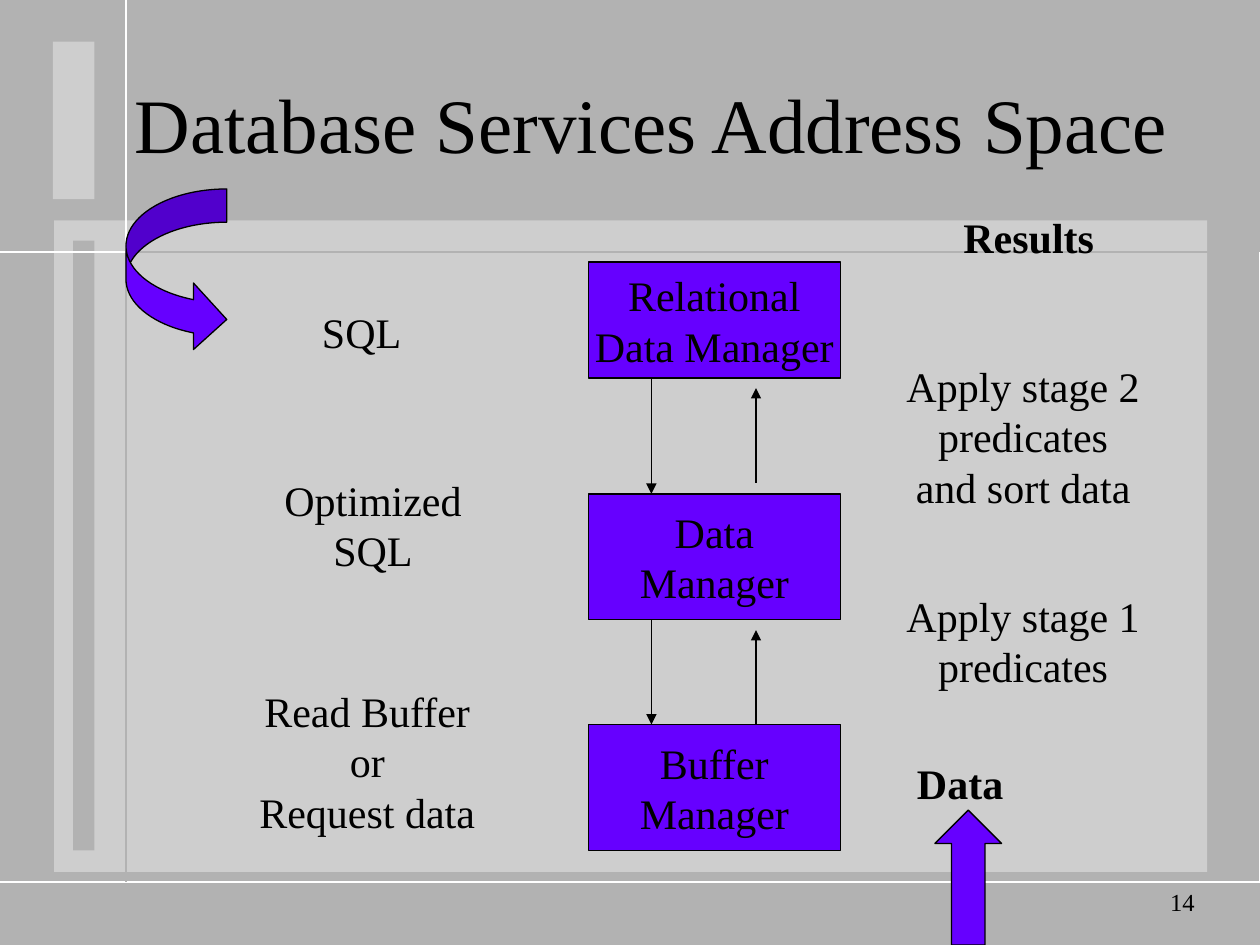
from lxml.etree import SubElement
from pptx import Presentation
from pptx.dml.color import RGBColor
from pptx.enum.shapes import MSO_CONNECTOR, MSO_SHAPE
from pptx.enum.text import MSO_ANCHOR, PP_ALIGN
from pptx.oxml.ns import qn
from pptx.util import Inches, Pt

BLACK = RGBColor(0x00, 0x00, 0x00)
WHITE = RGBColor(0xFF, 0xFF, 0xFF)
GRAY = RGBColor(0xB2, 0xB2, 0xB2)
LIGHT = RGBColor(0xEA, 0xEA, 0xEA)
VIOLET = RGBColor(0x66, 0x00, 0xFF)
FONT = "Times New Roman"

# Content: boxes are (left, top, width, height) in inches
TITLE = "Database Services Address Space"
SLIDE_NUMBER = "14"
PANELS = [  # box, fill, opacity in percent, upper left edge, lower right edge
    ((0.43, 1.75, 9.15, 5.17), LIGHT, 50, GRAY, WHITE),
    ((0.58, 1.91, 0.17, 4.84), GRAY, 100, WHITE, GRAY),
    ((0.42, 0.33, 0.33, 1.25), LIGHT, 50, GRAY, WHITE),
]
MANAGER_LEFT, MANAGER_WIDTH = 4.67, 2
MANAGERS = [  # lines, top, height
    (["Relational", "Data Manager"], 2.08, 0.92),
    (["Data", "Manager"], 3.92, 1),
    (["Buffer", "Manager"], 5.75, 1),
]
DOWN_X, UP_X = 5.17, 6
UP_ARROWS = [(5.75, 5), (3.83, 3.08)]  # start and end height
LABELS = [  # lines, box, bold
    (["SQL"], (2.08, 2.17, 1.58, 0.92), False),
    (["Optimized", "SQL"], (1.92, 3.5, 2.08, 1.33), False),
    (["Read Buffer", "or", "Request data"], (1.83, 5.5, 2.17, 1.08), False),
    (["Results"], (7.25, 1.5, 1.83, 0.75), True),
    (["Apply stage 2", "predicates", "and sort data"], (7.08, 2.92, 2.08, 1.08), False),
    (["Apply stage 1", "predicates"], (7.08, 4.5, 2.08, 1.17), False),
    (["Data"], (6.83, 5.92, 1.58, 0.58), True),
]
BLOCK_ARROWS = [  # preset, box, adjustments
    (MSO_SHAPE.CURVED_RIGHT_ARROW, (1, 1.5, 0.8, 1.3), (0.33, 0.66, 0.33)),
    (MSO_SHAPE.UP_ARROW, (7.42, 6.43, 0.53, 1.07), (0.5, 0.5)),
]


def to_inches(box):
    return [Inches(value) for value in box]


def write_text(shape, lines, size=24, bold=False, align=PP_ALIGN.CENTER, wrap=False):
    frame = shape.text_frame
    frame.word_wrap = wrap
    frame.vertical_anchor = MSO_ANCHOR.MIDDLE
    frame.text = "\n".join(lines)
    for paragraph in frame.paragraphs:
        paragraph.alignment = align
        font = paragraph.font
        font.name, font.size, font.bold = FONT, Pt(size), bold
        font.color.rgb = BLACK


def add_box(shapes, box, preset=MSO_SHAPE.RECTANGLE, fill=VIOLET, outlined=True):
    shape = shapes.add_shape(preset, *to_inches(box))
    shape.shadow.inherit = False
    shape.fill.solid()
    shape.fill.fore_color.rgb = fill
    if outlined:
        shape.line.color.rgb = BLACK
        shape.line.width = Pt(0.75)
    else:
        shape.line.fill.background()
    return shape


def add_edge(shapes, points, color):
    builder = shapes.build_freeform(*points[0], scale=Inches(1))
    builder.add_line_segments(points[1:], close=False)
    edge = builder.convert_to_shape()
    edge.shadow.inherit = False
    edge.fill.background()
    edge.line.color.rgb = color
    edge.line.width = Pt(1)


def add_panel(shapes, box, fill, opacity, upper_left, lower_right):
    panel = add_box(shapes, box, fill=fill, outlined=False)
    if opacity < 100:
        color = panel._element.spPr.find(qn("a:solidFill"))[0]
        SubElement(color, qn("a:alpha")).set("val", str(opacity * 1000))
    left, top, width, height = box
    right, bottom = left + width, top + height
    for corner, color in (((left, top), upper_left), ((right, bottom), lower_right)):
        add_edge(shapes, [(right, top), corner, (left, bottom)], color)


def add_arrow(shapes, x, start, end):
    arrow = shapes.add_connector(
        MSO_CONNECTOR.STRAIGHT, *to_inches((x, start, x, end)))
    arrow.line.color.rgb = BLACK
    arrow.line.width = Pt(0.75)
    SubElement(arrow.line._get_or_add_ln(), qn("a:tailEnd")).set("type", "triangle")
    SubElement(arrow._element.spPr, qn("a:effectLst"))


def main():
    presentation = Presentation()
    presentation.slide_width, presentation.slide_height = Inches(10), Inches(7.5)
    slide = presentation.slides.add_slide(presentation.slide_layouts[5])
    shapes = slide.shapes
    slide.background.fill.solid()
    slide.background.fill.fore_color.rgb = GRAY

    # Bevelled panels
    for panel in PANELS:
        add_panel(shapes, *panel)

    # Title
    title = shapes.title
    title.left, title.top, title.width, title.height = to_inches((0.92, 0.37, 8.5, 1.21))
    write_text(title, [TITLE], size=44, wrap=True)

    # Managers
    for lines, top, height in MANAGERS:
        manager = add_box(shapes, (MANAGER_LEFT, top, MANAGER_WIDTH, height))
        write_text(manager, lines)

    # Requests go down, data comes up
    for (_, top, height), (_, next_top, _) in zip(MANAGERS, MANAGERS[1:]):
        add_arrow(shapes, DOWN_X, top + height, next_top)
    for start, end in UP_ARROWS:
        add_arrow(shapes, UP_X, start, end)

    # Block arrows for the incoming SQL and data
    for preset, box, adjustments in BLOCK_ARROWS:
        arrow = add_box(shapes, box, preset)
        for index, value in enumerate(adjustments):
            arrow.adjustments[index] = value

    # Labels and slide number
    for lines, box, bold in LABELS:
        write_text(shapes.add_textbox(*to_inches(box)), lines, bold=bold)
    number = shapes.add_textbox(*to_inches((7.5, 6.91, 2.08, 0.5)))
    write_text(number, [SLIDE_NUMBER], size=14, align=PP_ALIGN.RIGHT, wrap=True)

    presentation.save("out.pptx")


if __name__ == "__main__":
    main()
